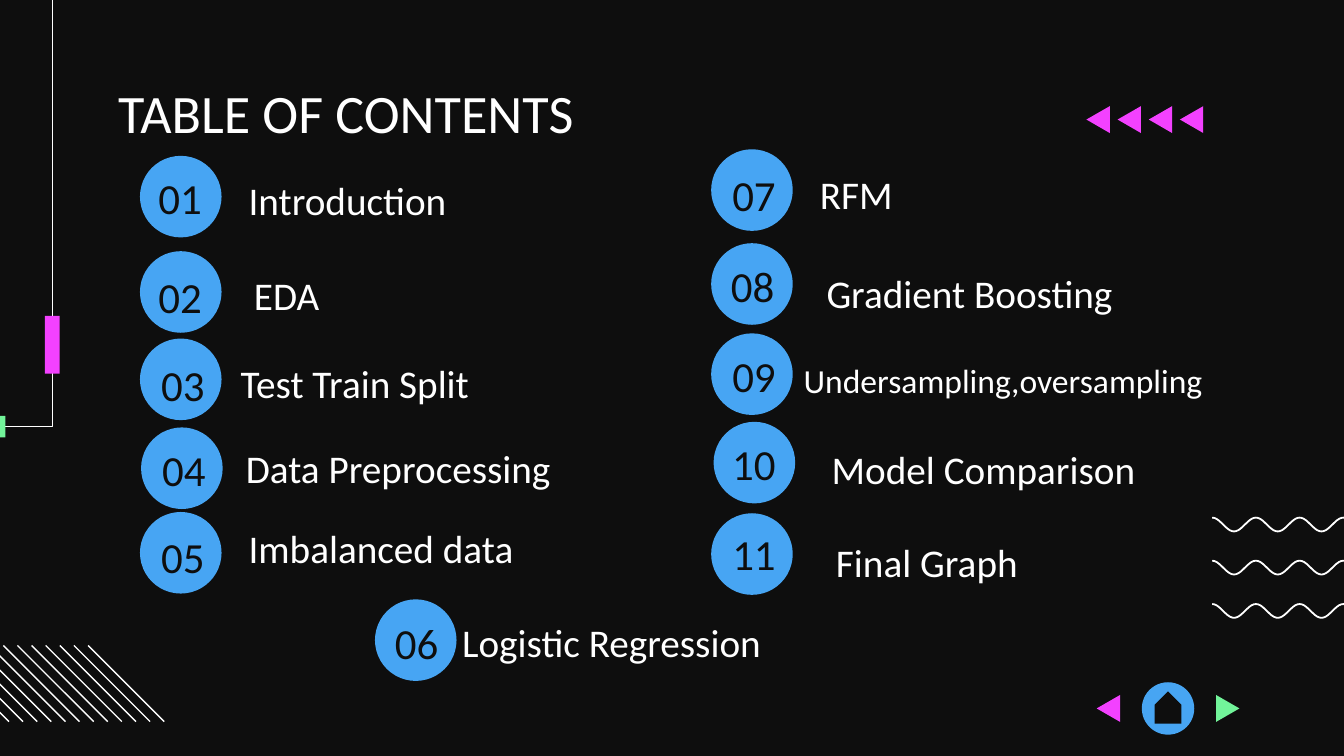
from math import cos, pi

from lxml import etree
from pptx import Presentation
from pptx.dml.color import RGBColor
from pptx.enum.shapes import MSO_CONNECTOR, MSO_SHAPE
from pptx.enum.text import MSO_ANCHOR, PP_ALIGN
from pptx.oxml.ns import qn
from pptx.util import Pt

DARK = RGBColor(0x0E, 0x0E, 0x0E)
WHITE = RGBColor(0xFF, 0xFF, 0xFF)
BLUE = RGBColor(0x47, 0xA5, 0xF3)
PINK = RGBColor(0xF3, 0x41, 0xFF)
GREEN = RGBColor(0x72, 0xF4, 0x9A)
FONT = "Calibri"
OVAL = MSO_SHAPE.OVAL
RECT = MSO_SHAPE.RECTANGLE
HOUSE = MSO_SHAPE.PENTAGON
LINE = MSO_CONNECTOR.STRAIGHT
TOP = MSO_ANCHOR.TOP
LEFT = PP_ALIGN.LEFT
MID = PP_ALIGN.CENTER

DISC = 43.7
HEAD = {"size": 29, "color": WHITE}
COUNT = {"size": 23, "color": DARK, "align": MID, "inset": 14.4}
LABEL = {"size": 21, "color": WHITE, "para": {"line_spacing": 1.15, "space_after": Pt(12)}}
SMALL = {**LABEL, "size": 18}

ITEMS = [
    ("Introduction", (75, 83.5), (-10.8, -5.8), (51.1, 7.2), LABEL),
    ("EDA", (75, 134.6), (-10.8, -4.3), (54, 7.2), LABEL),
    ("Test Train Split", (75, 181.4), (-9.4, -3.6), (46.8, 7.2), LABEL),
    ("Data Preprocessing", (75.6, 229), (-9.4, -5.8), (49, 5), LABEL),
    ("Imbalanced data", (75, 274.3), (-9.4, -4.3), (51.1, 2.9), LABEL),
    ("Logistic Regression", (200.9, 321.1), (-10.1, -5), (39.6, 6.5), LABEL),
    ("RFM", (381, 80), (-9.4, -4.3), (51.1, 7.2), LABEL),
    ("Gradient Boosting", (381, 130.3), (-10.1, -5.8), (54.7, 10.1), LABEL),
    ("Undersampling,oversampling", (381, 178.6), (-9.4, -5.8), (42.5, 10.8), SMALL),
    ("Model Comparison", (382.3, 226), (-10.8, -5.8), (56.2, 8.6), LABEL),
    ("Final Graph", (381, 275), (-9.4, -6.5), (59.8, 9.4), LABEL),
]


def paint(shape, color):
    shape.shadow.inherit = False
    shape.fill.solid()
    shape.fill.fore_color.rgb = color
    shape.line.fill.background()
    return shape


def block(shapes, kind, x, y, w, h, color):
    return paint(shapes.add_shape(kind, Pt(x), Pt(y), Pt(w), Pt(h)), color)


def trace(shapes, points, close):
    spots = [(Pt(x), Pt(y)) for x, y in points]
    pen = shapes.build_freeform(*spots[0])
    pen.add_line_segments(spots[1:], close=close)
    return pen.convert_to_shape()


def stroke(shapes, points, width):
    shape = trace(shapes, points, False)
    shape.shadow.inherit = False
    shape.fill.background()
    shape.line.color.rgb = WHITE
    shape.line.width = Pt(width)


def arrow(shapes, x, y, w, h, color, right=False):
    tip, base = (x + w, x) if right else (x, x + w)
    points = [(base, y), (tip, y + h / 2), (base, y + h)]
    paint(trace(shapes, points, True), color)


def write(shapes, text, x, y, w, h, style):
    frame = shapes.add_textbox(Pt(x), Pt(y), Pt(w), Pt(h)).text_frame
    look = {
        "word_wrap": True,
        "vertical_anchor": TOP,
        "margin_left": Pt(7.2),
        "margin_top": Pt(style.get("inset", 0)),
        "margin_right": Pt(7.2),
        "margin_bottom": Pt(7.2),
    }
    for name, value in look.items():
        setattr(frame, name, value)
    para = frame.paragraphs[0]
    para.alignment = style.get("align", LEFT)
    for name, value in style.get("para", {}).items():
        setattr(para, name, value)
    run = para.add_run()
    run.text = text
    run.font.name = FONT
    run.font.size = Pt(style["size"])
    run.font.color.rgb = style["color"]


def waves(shapes, x, y, w, h):
    steps, turns, gap, tall = 70, 3.5, 23.1, 7.4
    for top in (y, y + gap, y + h - tall):
        points = [
            (x + w * i / steps, top + tall * (1 - cos(2 * pi * turns * i / steps)) / 2)
            for i in range(steps + 1)
        ]
        stroke(shapes, points, 0.95)


def hatch(shapes, x, y, w, h):
    count = 12
    step = (w - h) / (count - 1)
    for i in range(count):
        left = x + i * step
        line = shapes.add_connector(LINE, Pt(left), Pt(y), Pt(left + h), Pt(y + h))
        line.line.color.rgb = WHITE
        line.line.width = Pt(0.75)
        etree.SubElement(line._element.spPr, qn("a:effectLst"))


def edge(shapes, x, y, w, h):
    stroke(shapes, [(x, y + h), (x + w, y + h), (x + w, y)], 0.75)
    block(shapes, RECT, x + w - 36.7, y + h - 5.7, 11.5, 11.5, GREEN)
    block(shapes, RECT, x + w - 4, y + 185, 7.9, 31, PINK)


def entry(shapes, x, y, number, text, shift, place, style):
    block(shapes, OVAL, x, y, DISC, DISC, BLUE)
    write(shapes, f"{number:02d}", x + shift[0], y + shift[1], 64.8, 43.9, COUNT)
    write(shapes, text, x + place[0], y + place[1], 230, 28.1, style)


def chevrons(shapes, x, y, w, h):
    count, wide = 4, 12.5
    for i in range(count):
        arrow(shapes, x + i * (w - wide) / (count - 1), y, wide, h, PINK)


def controls(shapes, x, y, w, h):
    wide, tall = 12.5, 14.4
    top = y + (h - tall) / 2
    arrow(shapes, x, top, wide, tall, PINK)
    arrow(shapes, x + w - wide, top, wide, tall, GREEN, True)
    left = x + (w - h) / 2
    block(shapes, OVAL, left, y, h, h, BLUE)
    home = block(shapes, HOUSE, left + (h - 17.3) / 2, y + (h - 14.4) / 2 - 0.5, 17.3, 14.4, DARK)
    home.rotation = 270


def main():
    deck = Presentation()
    deck.slide_width, deck.slide_height = Pt(720), Pt(405)
    slide = deck.slides.add_slide(deck.slide_layouts[6])
    slide.background.fill.solid()
    slide.background.fill.fore_color.rgb = DARK
    shapes = slide.shapes
    waves(shapes, 649.4, 277.3, 82, 53.7)
    hatch(shapes, -36, 345.8, 124, 40.8)
    edge(shapes, -283, -15.8, 311.1, 244.4)
    write(shapes, "TABLE OF CONTENTS", 56.2, 42.5, 607.7, 33.1, HEAD)
    for number, (text, spot, shift, place, style) in enumerate(ITEMS, 1):
        entry(shapes, *spot, number, text, shift, place, style)
    chevrons(shapes, 582, 56.9, 62.6, 14.4)
    controls(shapes, 587.5, 365.5, 76.5, 28.1)
    deck.save("out.pptx")


if __name__ == "__main__":
    main()
